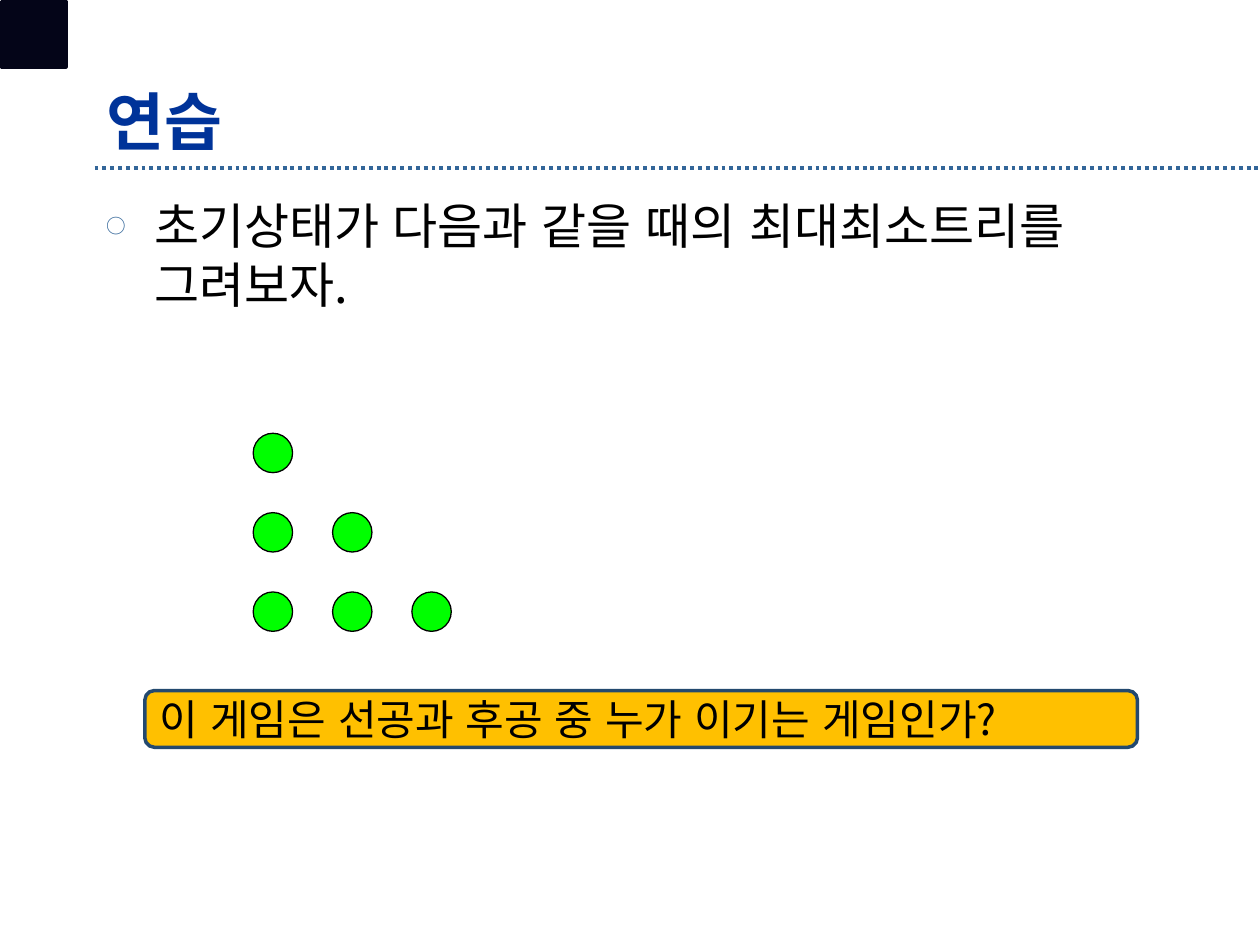
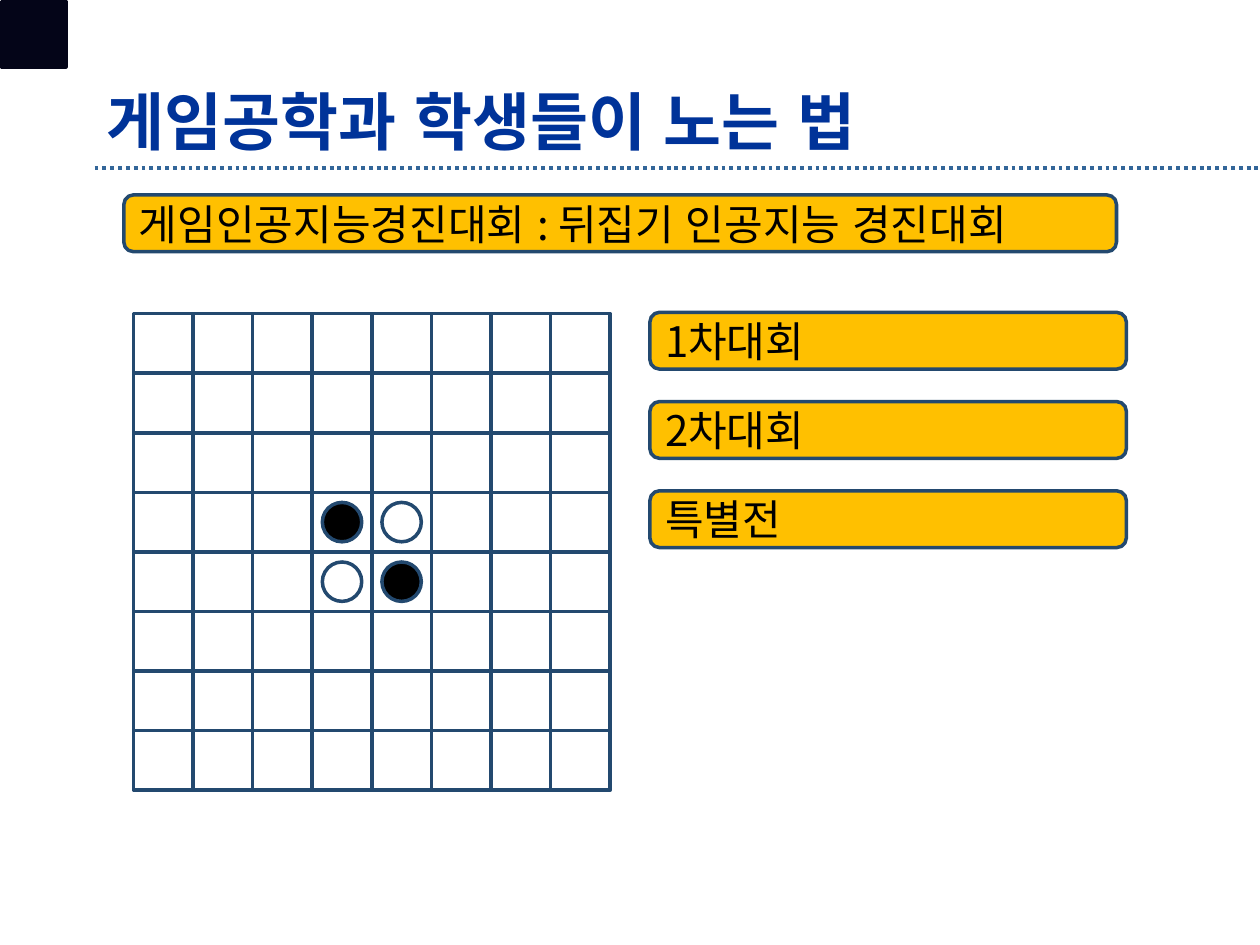
import dataclasses
import typing

import lxml.etree
import pptx
import pptx.dml.color
import pptx.enum.dml
import pptx.enum.shapes
import pptx.enum.text
import pptx.oxml.ns
import pptx.util

Pt = pptx.util.Pt
Kind = pptx.enum.shapes.MSO_SHAPE
Anchor = pptx.enum.text.MSO_ANCHOR
qn = pptx.oxml.ns.qn


# Theme
@dataclasses.dataclass(frozen=True)
class Theme:
    font: str = "Noto Sans CJK KR"
    black: str = "000000"
    white: str = "FFFFFF"
    navy: str = "003399"
    blue: str = "336699"
    edge: str = "23496F"
    corner: str = "040518"
    gold: str = "FFC000"
    green: str = "00FF00"
    head: float = 36
    body: float = 28
    label: float = 24


THEME = Theme()


@dataclasses.dataclass(frozen=True)
class Box:
    left: float
    top: float
    width: float
    height: float

    def span(self) -> list[int]:
        return [Pt(v) for v in (self.left, self.top, self.width, self.height)]


@dataclasses.dataclass(frozen=True)
class Style:
    fill: str
    line: str = THEME.edge
    width: float = 2


@dataclasses.dataclass(frozen=True)
class Label:
    text: str
    box: Box


@dataclasses.dataclass(frozen=True)
class Disc:
    row: int
    col: int
    fill: str


GOLD = Style(THEME.gold)
CELL = Style(THEME.white)
STONE = Style(THEME.green, THEME.black, 0.75)
CORNER = Style(THEME.corner, THEME.corner)


# Drawing helpers
def color(code: str) -> pptx.dml.color.RGBColor:
    return pptx.dml.color.RGBColor.from_string(code)


def apply(target: typing.Any, values: dict[str, typing.Any]) -> None:
    for name, value in values.items():
        setattr(target, name, value)


def draw(shapes: typing.Any, kind: Kind, box: Box, style: Style) -> typing.Any:
    shape = shapes.add_shape(kind, *box.span())
    shape.shadow.inherit = False
    shape.fill.solid()
    shape.fill.fore_color.rgb = color(style.fill)
    shape.line.color.rgb = color(style.line)
    shape.line.width = Pt(style.width)
    return shape


def write(shape: typing.Any, text: str, size: float, ink: str = THEME.black,
          bold: bool = False, anchor: Anchor = Anchor.MIDDLE) -> typing.Any:
    frame = shape.text_frame
    apply(frame, {
        "word_wrap": True, "vertical_anchor": anchor,
        "margin_left": Pt(7.2), "margin_right": Pt(7.2),
        "margin_top": Pt(3.6), "margin_bottom": Pt(3.6),
    })
    para = frame.paragraphs[0]
    para.alignment = pptx.enum.text.PP_ALIGN.LEFT
    run = para.add_run()
    run.text = text
    apply(run.font, {"name": THEME.font, "size": Pt(size), "bold": bold})
    run.font.color.rgb = color(ink)
    props = run.font._element
    lxml.etree.SubElement(props, qn("a:ea"), typeface=THEME.font)
    props.set("lang", "ko-KR")
    return para


def bullet(para: typing.Any, mark: str, indent: float) -> None:
    props = para._p.get_or_add_pPr()
    props.set("marL", str(Pt(indent)))
    props.set("indent", str(-Pt(indent)))
    ink = lxml.etree.SubElement(props, qn("a:buClr"))
    lxml.etree.SubElement(ink, qn("a:srgbClr"), val=THEME.blue)
    lxml.etree.SubElement(props, qn("a:buSzPct"), val="40000")
    lxml.etree.SubElement(props, qn("a:buFont"), typeface=THEME.font)
    lxml.etree.SubElement(props, qn("a:buChar"), char=mark)


def callout(slide: typing.Any, label: Label) -> None:
    shape = draw(slide.shapes, Kind.ROUNDED_RECTANGLE, label.box, GOLD)
    shape.adjustments[0] = 0.167
    write(shape, label.text, THEME.label)


# Shared frame: dotted rule, corner block and title
def start(deck: typing.Any, title: str) -> typing.Any:
    slide = deck.slides.add_slide(deck.slide_layouts[6])
    rule = slide.shapes.add_connector(
        pptx.enum.shapes.MSO_CONNECTOR.STRAIGHT, Pt(54), Pt(96), Pt(720), Pt(96))
    rule.line.color.rgb = color(THEME.blue)
    apply(rule.line, {"width": Pt(2.25),
                      "dash_style": pptx.enum.dml.MSO_LINE.ROUND_DOT})
    lxml.etree.SubElement(rule._element.spPr, qn("a:effectLst"))
    draw(slide.shapes, Kind.RECTANGLE, Box(0.8, 0.8, 36.9, 37.4), CORNER)
    head = slide.shapes.add_textbox(*Box(54, 48, 618, 42).span())
    write(head, title, THEME.head, THEME.navy, True)
    return slide


# Slide 1: stone game
def stones(deck: typing.Any) -> None:
    slide = start(deck, "연습")
    body = slide.shapes.add_textbox(*Box(54, 108, 624, 372).span())
    para = write(body, "초기상태가 다음과 같을 때의 최대최소트리를 그려보자.",
                 THEME.body, anchor=Anchor.TOP)
    apply(para, {"space_before": Pt(7), "line_spacing": Pt(33.7)})
    bullet(para, "○", 27)

    step, size = 45.35, 22.5
    for row in range(3):
        for col in range(row + 1):
            spot = Box(144.7 + col * step, 247.6 + row * step, size, size)
            draw(slide.shapes, Kind.OVAL, spot, STONE)
    callout(slide, Label("이 게임은 선공과 후공 중 누가 이기는 게임인가?",
                         Box(82.8, 394.6, 567.2, 32.4)))


# Slide 2: disc board and contests
def board(slide: typing.Any, left: float, top: float) -> None:
    cell, size = 34.05, 22.5
    inset = (cell - size) / 2
    group = slide.shapes.add_group_shape().shapes
    for row in range(8):
        for col in range(8):
            spot = Box(left + col * cell, top + row * cell, cell, cell)
            draw(group, Kind.RECTANGLE, spot, CELL)
    discs = (Disc(3, 3, THEME.black), Disc(4, 4, THEME.black),
             Disc(3, 4, THEME.white), Disc(4, 3, THEME.white))
    for disc in discs:
        spot = Box(left + disc.col * cell + inset,
                   top + disc.row * cell + inset, size, size)
        draw(group, Kind.OVAL, spot, Style(disc.fill))


def contest(deck: typing.Any) -> None:
    slide = start(deck, "게임공학과 학생들이 노는 법")
    callout(slide, Label("게임인공지능경진대회 : 뒤집기 인공지능 경진대회",
                         Box(70.8, 111.4, 567.2, 32.4)))
    board(slide, 76.3, 179.2)
    for row, text in enumerate(("1차대회", "2차대회", "특별전")):
        callout(slide, Label(text, Box(371.4, 178.5 + row * 51, 272.2, 32.4)))


def main() -> None:
    deck = pptx.Presentation()
    apply(deck, {"slide_width": Pt(720), "slide_height": Pt(540)})
    stones(deck)
    contest(deck)
    deck.save("out.pptx")


if __name__ == "__main__":
    main()
